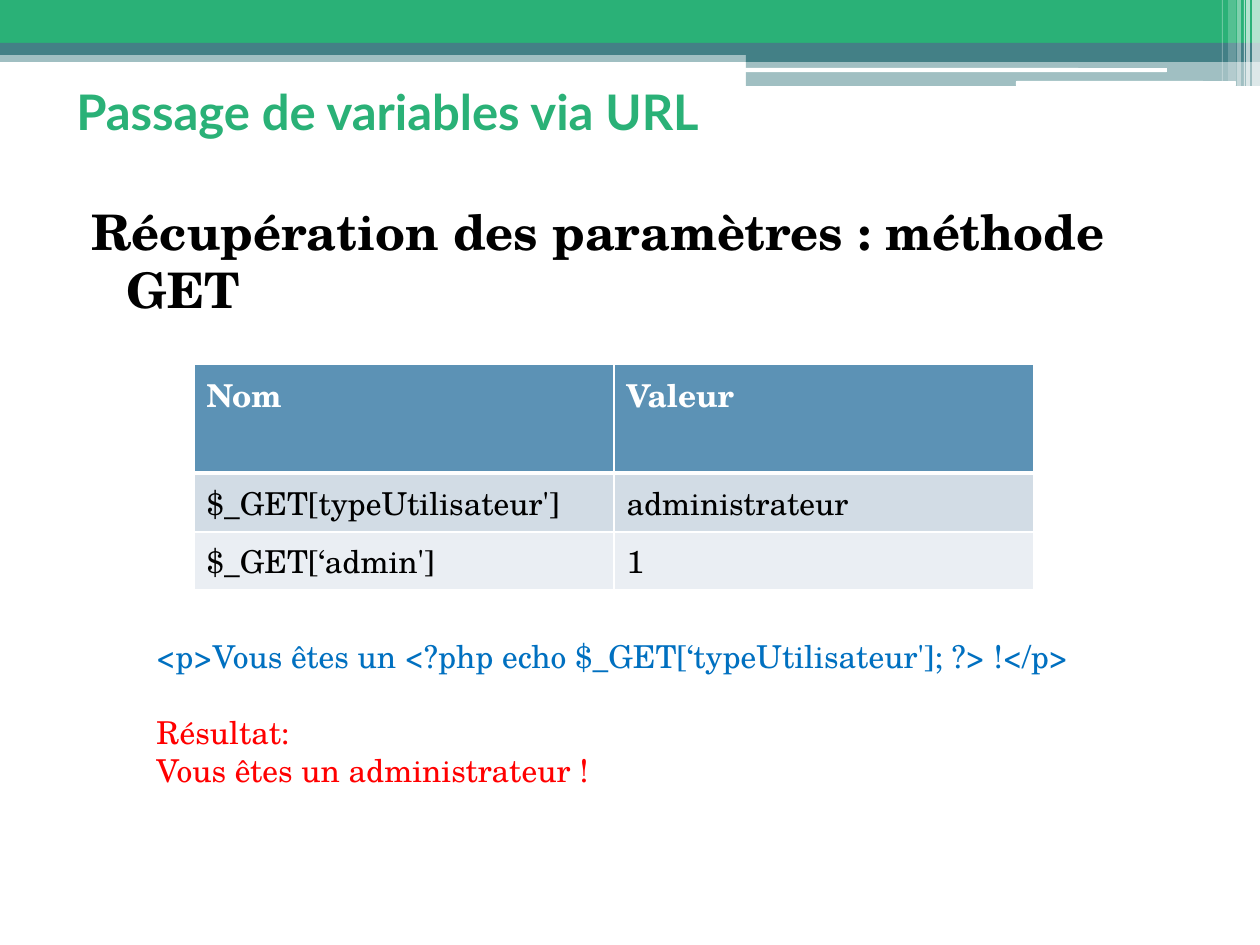
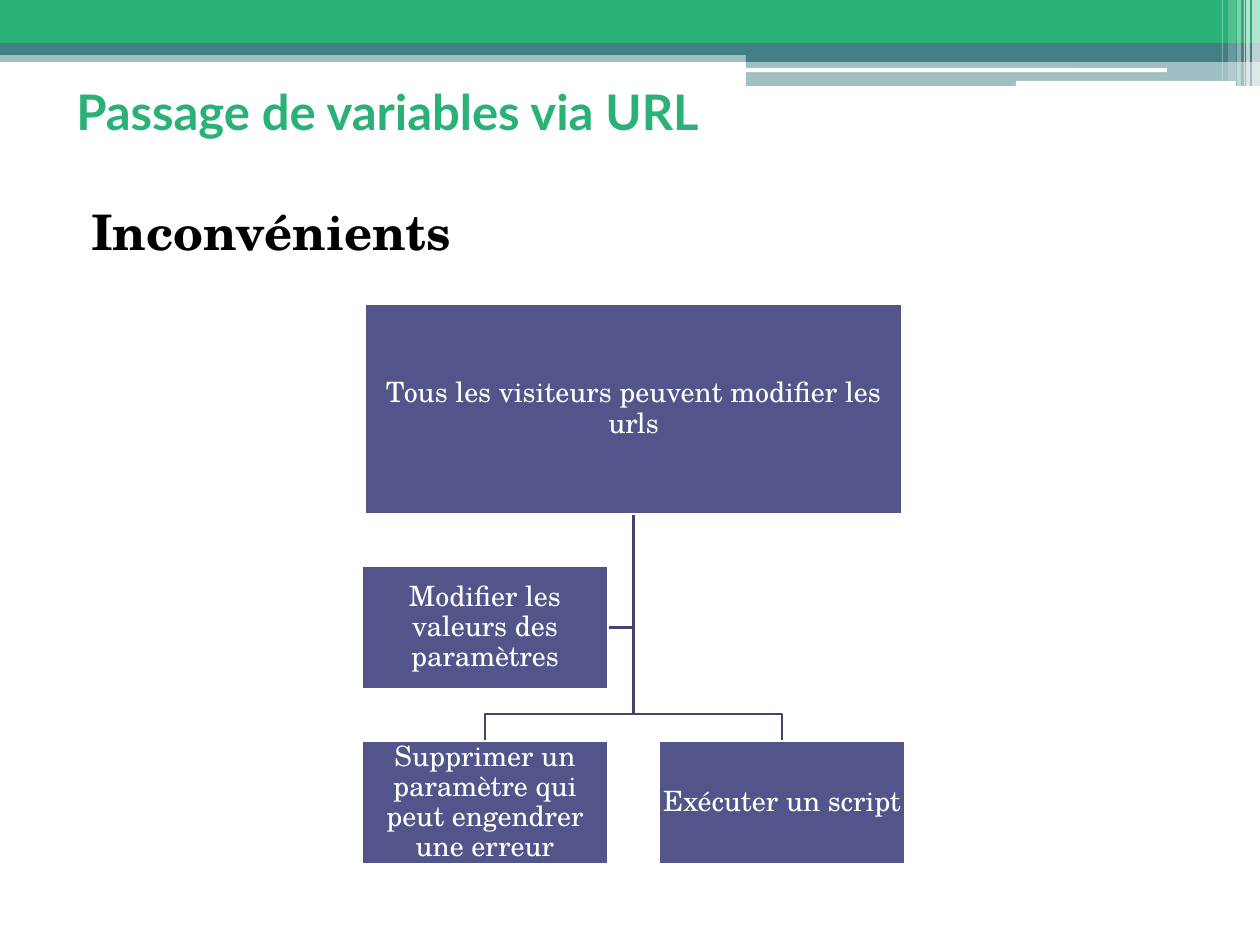
"""Build two slides on passing variables through a URL."""
from pptx import Presentation
from pptx import util as u
from pptx.dml.color import RGBColor
from pptx.enum import shapes, text
from pptx.oxml import parse_xml
from pptx.oxml.ns import nsdecls
from lxml import etree

PX = 914400 / 126
WIDE, HIGH = 1260, 945
GREEN = RGBColor(0x2A, 0xB1, 0x77)
TEAL = RGBColor(0x43, 0x80, 0x86)
WHITE = RGBColor(0xFF, 0xFF, 0xFF)
BLACK = RGBColor(0, 0, 0)
BLUE = RGBColor(0x00, 0x70, 0xC0)
RED = RGBColor(0xFF, 0, 0)
STEEL = RGBColor(0x5C, 0x92, 0xB5)
MIST = RGBColor(0xD2, 0xDC, 0xE5)
PALE = RGBColor(0xEA, 0xEE, 0xF3)
PLUM = RGBColor(0x53, 0x54, 0x8A)
INK = RGBColor(0x42, 0x43, 0x6F)
HEAD, BODY = "Lato", "TeX Gyre Schola"
RECT, ROUND = shapes.MSO_SHAPE.RECTANGLE, shapes.MSO_SHAPE.ROUNDED_RECTANGLE

BANDS = [
    (0, 50, 1260, 12, TEAL, 50),
    (0, 0, 1260, 43, GREEN, 100),
    (0, 43, 1260, 12, TEAL, 100),
    (746, 49, 514, 13, TEAL, 100),
    (746, 61, 514, 25, TEAL, 50),
]
BARS = [(745, 68, 422, 4), (1016, 81, 220, 5)]
STRIPES = [(1252, 8, 86, 65), (1246, 4, 86, 65), (1244, 1, 86, 60),
           (1237, 4, 86, 40), (1228, 8, 81, 20), (1222, 1, 81, 30)]


def emu(*sizes):
    """Turn pixels into EMU."""
    return [u.Emu(round(size * PX)) for size in sizes]


def style(par, size, color, font=BODY, bold=False):
    """Format every run of a paragraph."""
    for run in par.runs:
        run.font.size = u.Pt(size)
        run.font.name = font
        run.font.bold = bold
        run.font.color.rgb = color


def block(slide, box, color, alpha=100, kind=RECT):
    """Add a plain filled shape, see-through below 100 percent."""
    shape = slide.shapes.add_shape(kind, *emu(*box))
    shape.shadow.inherit = False
    shape.fill.solid()
    shape.fill.fore_color.rgb = color
    shape.line.fill.background()
    if alpha < 100:
        tint = shape.element.xpath("./p:spPr/a:solidFill/a:srgbClr")[0]
        tint.append(parse_xml(f'<a:alpha {nsdecls("a")} val="{alpha * 1000}"/>'))
    return shape


def banner(slide):
    """Draw the bands, bars and stripes at the top."""
    for *box, color, alpha in BANDS:
        block(slide, box, color, alpha)
    for box in BARS:
        block(slide, box, WHITE, kind=ROUND)
    for x, w, h, alpha in STRIPES:
        block(slide, (x, 0, w, h), WHITE, alpha)


def label(slide, box, words):
    """Add a wrapping text box and return its frame."""
    frame = slide.shapes.add_textbox(*emu(*box)).text_frame
    frame.word_wrap = True
    frame.text = words
    return frame


def page(deck, topic):
    """Add a slide with banner, title and topic."""
    slide = deck.slides.add_slide(deck.slide_layouts[6])
    banner(slide)
    title = label(slide, (64, 37, 1134, 147), "Passage de variables via URL")
    title.vertical_anchor = text.MSO_ANCHOR.MIDDLE
    style(title.paragraphs[0], 28, GREEN, HEAD, True)
    par = label(slide, (64, 195, 1134, 645), topic).paragraphs[0]
    par.space_before = u.Pt(3)
    props = par._p.get_or_add_pPr()
    left, dent = emu(50, -35)
    props.set("marL", str(left))
    props.set("indent", str(dent))
    style(par, 28, BLACK, bold=True)
    return slide


def edge(cell, base):
    """Give a cell white borders, with its own base width."""
    props = cell._tc.get_or_add_tcPr()
    for side, width in zip("LRTB", (1, 1, 1, base)):
        props.append(parse_xml(
            f'<a:ln{side} {nsdecls("a")} w="{u.Pt(width)}"><a:solidFill>'
            f'<a:srgbClr val="{WHITE}"/></a:solidFill></a:ln{side}>'))


def grid(slide, box, rows, tall):
    """Fill a table whose first row is the header."""
    table = slide.shapes.add_table(len(rows), len(rows[0]), *emu(*box)).table
    for row, high in zip(table.rows, emu(*tall)):
        row.height = high
    for r, (row, fill) in enumerate(zip(rows, (STEEL, MIST, PALE))):
        for c, words in enumerate(row):
            cell = table.cell(r, c)
            edge(cell, 1 if r else 3)
            cell.fill.solid()
            cell.fill.fore_color.rgb = fill
            cell.text = words
            style(cell.text_frame.paragraphs[0], 18,
                  BLACK if r else WHITE, bold=not r)


def sample(slide, box, code, result):
    """Show a code line, then its result after a one-line gap."""
    frame = label(slide, box, code)
    style(frame.paragraphs[0], 18, BLUE)
    for i, words in enumerate(result):
        par = frame.add_paragraph()
        par.text = words
        par.space_before = u.Pt(0 if i else 21.7)
        style(par, 18, RED)


def link(slide, points):
    """Draw an open elbow line through the points."""
    spots = [emu(*point) for point in points]
    build = slide.shapes.build_freeform(*spots[0])
    build.add_line_segments(spots[1:], close=False)
    shape = build.convert_to_shape()
    shape.shadow.inherit = False
    shape.fill.background()
    shape.line.color.rgb = INK
    shape.line.width = u.Pt(1.5)


def node(slide, box, words):
    """Add one box of the tree."""
    shape = block(slide, box, PLUM)
    shape.line.color.rgb = WHITE
    shape.line.width = u.Pt(1.5)
    frame = shape.text_frame
    frame.word_wrap = True
    frame.margin_left = frame.margin_right = u.Inches(0.01)
    frame.margin_top = frame.margin_bottom = u.Inches(0.01)
    frame.vertical_anchor = text.MSO_ANCHOR.MIDDLE
    frame.text = words
    par = frame.paragraphs[0]
    par.alignment = text.PP_ALIGN.CENTER
    par.line_spacing = 0.9
    style(par, 16, WHITE)


def tree(slide, box, root, side, leaves):
    """Draw a root, a side box and two leaves with their links."""
    x, y, w, h = box
    wide, high, top = 246, 123, 210
    mid, foot, aide = x + w / 2, y + h - high, y + 262
    start, bus = (mid, y + top), foot - 27
    lefts = (x, x + w - wide)
    level = aide + high / 2
    link(slide, [start, (mid, level), (x + wide, level)])
    for left in reversed(lefts):
        spot = left + wide / 2
        link(slide, [start, (mid, bus), (spot, bus), (spot, foot)])
    node(slide, (x + 3, y, w - 6, top), root)
    for left, words in zip(lefts, leaves):
        node(slide, (left, foot, wide, high), words)
    node(slide, (x, aide, wide, high), side)


def main():
    """Build and save the deck."""
    deck = Presentation()
    deck.slide_width, deck.slide_height = emu(WIDE, HIGH)
    slide = page(deck, "Récupération des paramètres : méthode GET")
    grid(slide, (194, 364, 840, 226),
         [("Nom", "Valeur"),
          ("$_GET[typeUtilisateur']", "administrateur"),
          ("$_GET[‘admin']", "1")], (109, 59, 58))
    sample(slide, (144, 631, 963, 165),
           "<p>Vous êtes un <?php echo $_GET[‘typeUtilisateur']; ?> !</p>",
           ("Résultat:", "Vous êtes un administrateur !"))
    slide = page(deck, "Inconvénients")
    tree(slide, (362, 304, 543, 560),
         "Tous les visiteurs peuvent modifier les urls",
         "Modifier les valeurs des paramètres",
         ("Supprimer un paramètre qui peut engendrer une erreur",
          "Exécuter un script"))
    deck.save("out.pptx")


main()
